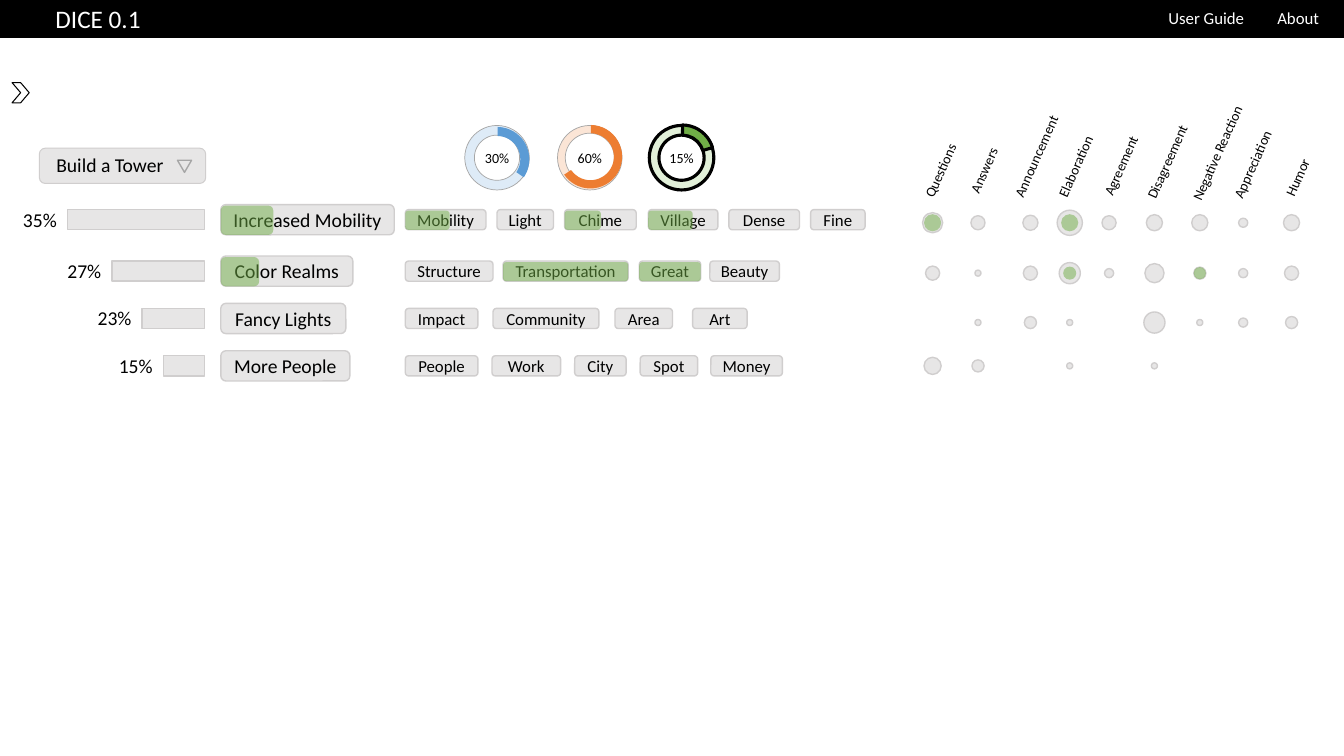
"""Build the DICE dashboard slide with themes, terms and reaction dots."""
from dataclasses import dataclass
from typing import Any

from lxml import etree
from pptx import Presentation, util as u
from pptx.dml.color import RGBColor
from pptx.enum import shapes, text
from pptx.oxml.ns import qn

MSO = shapes.MSO_SHAPE


@dataclass
class Theme:
    font: str = "Calibri"
    black: str = "000000"
    white: str = "FFFFFF"
    panel: str = "E7E6E6"
    border: str = "D0CECE"
    outline: str = "A6A6A6"
    blue: str = "5B9BD5"
    orange: str = "ED7D31"
    green: str = "70AD47"
    pale_blue: str = "DEEBF7"
    pale_orange: str = "FBE5D6"
    pale_green: str = "E2F0D9"
    title: int = 18
    heading: int = 14
    body: int = 12
    small: int = 10


def inch(value):
    return u.Cm(value * 2.54)


@dataclass
class Board:
    slide: Any
    theme: Theme

    def paint(self, s, fill, line, weight):
        if fill:
            s.fill.solid()
            s.fill.fore_color.rgb = RGBColor.from_string(fill)
        else:
            s.fill.background()
        if line:
            s.line.color.rgb = RGBColor.from_string(line)
            s.line.width = u.Pt(weight)
        else:
            s.line.fill.background()

    def put_text(self, s, words, size, color, align, **frame):
        tf = s.text_frame
        for name, value in frame.items():
            setattr(tf, name, value)
        p = tf.paragraphs[0]
        p.alignment = align
        r = p.add_run()
        r.text = words
        for name, value in {"name": self.theme.font, "size": u.Pt(size), "bold": False}.items():
            setattr(r.font, name, value)
        r.font.color.rgb = RGBColor.from_string(color)

    def title(self, words, height):
        s = self.slide.shapes.title
        box = {"left": 0, "top": 0, "width": inch(13.33), "height": inch(height)}
        for name, value in box.items():
            setattr(s, name, value)
        self.paint(s, self.theme.black, self.theme.black, 1)
        self.put_text(s, words, self.theme.title, self.theme.white, text.PP_ALIGN.LEFT,
                      margin_left=inch(0.55), margin_top=0, margin_bottom=0,
                      auto_size=text.MSO_AUTO_SIZE.NONE,
                      vertical_anchor=text.MSO_ANCHOR.MIDDLE)

    def shape(self, kind, box, fill, line=None, weight=1, words="", size=10, adj=(), rotation=0):
        s = self.slide.shapes.add_shape(kind, *map(inch, box))
        s.shadow.inherit = False
        s.rotation = rotation
        for i, value in enumerate(adj):
            s.adjustments[i] = value
        self.paint(s, fill, line, weight)
        if words:
            self.put_text(s, words, size, self.theme.black, text.PP_ALIGN.CENTER,
                          word_wrap=False, vertical_anchor=text.MSO_ANCHOR.MIDDLE)
        return s

    def panel(self, kind, box, **options):
        return self.shape(kind, box, self.theme.panel, self.theme.border, **options)

    def highlight(self, kind, box):
        s = self.shape(kind, box, self.theme.green)
        color = s._element.spPr.find(".//" + qn("a:srgbClr"))
        etree.SubElement(color, qn("a:alpha"), val="50000")

    def label(self, words, box, size, color=None, rotation=0):
        s = self.slide.shapes.add_textbox(*map(inch, box))
        self.put_text(s, words, size, color or self.theme.black, text.PP_ALIGN.LEFT,
                      word_wrap=False, auto_size=text.MSO_AUTO_SIZE.SHAPE_TO_FIT_TEXT)
        s.rotation = rotation

    def chip(self, words, box, size, marked):
        self.panel(MSO.ROUNDED_RECTANGLE, box, words=words, size=size)
        if marked:
            left, top, _, height = box
            self.highlight(MSO.ROUNDED_RECTANGLE, (left, top + 0.01, marked, height - 0.01))

    def dot(self, x, y, size, draw):
        draw(MSO.OVAL, (x - size / 2, y - size / 2, size, size))

    def ring(self, left, words, pale, strong, thickness, line, arc_line, weight, arc_box, arc):
        self.shape(MSO.DONUT, (left, 1.245, 0.64, 0.64), pale, line, weight,
                   words=words, size=self.theme.small, adj=[thickness])
        self.shape(MSO.BLOCK_ARC, arc_box, strong, arc_line, weight,
                   adj=[108.57, *arc], rotation=90)


THEMES = [
    ("35%", 0.67, "Increased Mobility", 1.72, 0.52, 2.08),
    ("27%", 1.11, "Color Realms", 1.31, 0.38, 2.59),
    ("23%", 1.41, "Fancy Lights", 1.24, 0, 3.06),
    ("15%", 1.62, "More People", 1.28, 0, 3.53),
]
TERMS = [
    [("Mobility", 4.02, 0.8, 0.44), ("Light", 4.93, 0.56, 0), ("Chime", 5.6, 0.71, 0.36),
     ("Village", 6.43, 0.69, 0.44), ("Dense", 7.23, 0.7, 0), ("Fine", 8.04, 0.54, 0)],
    [("Structure", 4.02, 0.87, 0), ("Transportation", 4.99, 1.24, 1.24),
     ("Great", 6.34, 0.61, 0.61), ("Beauty", 7.04, 0.69, 0)],
    [("Impact", 4.02, 0.72, 0), ("Community", 4.89, 1.05, 0), ("Area", 6.1, 0.57, 0),
     ("Art", 6.87, 0.54, 0)],
    [("People", 4.02, 0.72, 0), ("Work", 4.88, 0.68, 0), ("City", 5.7, 0.51, 0),
     ("Spot", 6.35, 0.57, 0), ("Money", 7.05, 0.71, 0)],
]
REACTIONS = [
    ("Questions", 9.25, 8.94, 1.55, 0.78), ("Answers", 9.7, 9.42, 1.55, 0.68),
    ("Announcement", 10.22, 9.74, 1.41, 1.08), ("Elaboration", 10.61, 10.24, 1.51, 0.86),
    ("Agreement", 11, 10.7, 1.5, 0.84), ("Disagreement", 11.45, 11.08, 1.46, 1),
    ("Negative Reaction", 11.9, 11.46, 1.37, 1.24),
    ("Appreciation", 12.33, 11.96, 1.49, 0.93), ("Humor", 12.81, 12.57, 1.62, 0.6),
]
DOT_ROWS = [2.21, 2.71, 3.2, 3.63]
DOT_SIZES = [
    [0.2, 0.14, 0.15, 0.25, 0.14, 0.16, 0.16, 0.09, 0.16],
    [0.14, 0.06, 0.14, 0.21, 0.09, 0.19, 0.12, 0.09, 0.14],
    [0, 0.06, 0.12, 0.06, 0, 0.21, 0.06, 0.09, 0.12],
    [0.17, 0.12, 0, 0.06, 0, 0.06, 0, 0, 0],
]
MARKED_DOTS = [(0, 0, 0.17), (0, 3, 0.17), (1, 3, 0.13), (1, 6, 0.12)]

prs = Presentation()
prs.slide_width, prs.slide_height = inch(13.33), inch(7.5)
t = Theme()
board = Board(prs.slides.add_slide(prs.slide_layouts[5]), t)

board.title("DICE 0.1", 0.37)
for words, left, width in [("User Guide", 11.49, 0.96), ("About", 12.57, 0.62)]:
    board.label(words, (left, 0.03, width, 0.3), t.body, t.white)
board.shape(MSO.CHEVRON, (0.12, 0.82, 0.17, 0.2), None, t.black, 0.75)

board.panel(MSO.ROUNDED_RECTANGLE, (0.39, 1.47, 1.65, 0.35), weight=0.75)
board.label("Build a Tower", (0.46, 1.47, 1.28, 0.34), t.heading)
board.shape(MSO.ISOSCELES_TRIANGLE, (1.76, 1.59, 0.14, 0.12), t.panel, t.outline, rotation=180)

board.ring(4.61, "30%", t.pale_blue, t.blue, 0.15, t.outline, None, 0.5,
           (4.61, 1.26, 0.64, 0.64), (182.42, 0.14))
board.ring(5.53, "60%", t.pale_orange, t.orange, 0.12, t.outline, None, 0.5,
           (5.54, 1.24, 0.63, 0.63), (33.3, 0.13))
board.ring(6.44, "15%", t.pale_green, t.green, 0.15, t.black, t.black, 2.25,
           (6.45, 1.24, 0.63, 0.63), (151.97, 0.16))

for (share, bar_left, name, width, marked, top), terms in zip(THEMES, TERMS):
    board.panel(MSO.RECTANGLE, (bar_left, top, 2.03 - bar_left, 0.2))
    board.label(share, (bar_left - 0.54, top - 0.07, 0.54, 0.34), t.heading)
    board.chip(name, (2.19, top - 0.05, width, 0.3), t.heading, marked)
    for term, left, term_width, term_marked in terms:
        board.chip(term, (left, top, term_width, 0.2), t.body, term_marked)

for name, _, left, top, width in REACTIONS:
    board.label(name, (left, top, width, 0.27), t.small, rotation=294)
for y, sizes in zip(DOT_ROWS, DOT_SIZES):
    for reaction, size in zip(REACTIONS, sizes):
        if size:
            board.dot(reaction[1], y, size, board.panel)
for row, column, size in MARKED_DOTS:
    board.dot(REACTIONS[column][1], DOT_ROWS[row], size, board.highlight)

prs.save("out.pptx")
